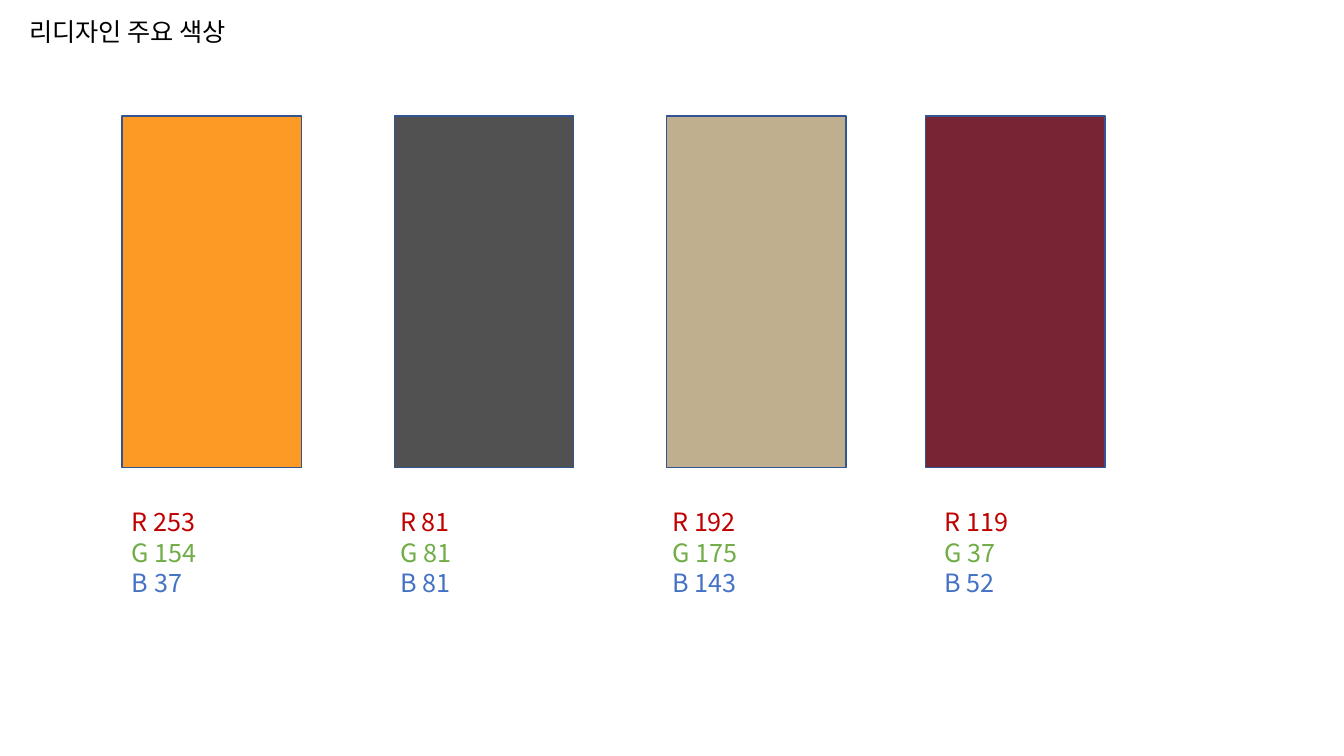
import pptx
import pptx.dml.color
import pptx.enum.shapes
import pptx.enum.text
import pptx.oxml
import pptx.util
from pptx.dml.color import RGBColor
from pptx.util import Inches

FONT = "Noto Sans CJK KR"
BLACK = RGBColor(0x00, 0x00, 0x00)
OUTLINE = RGBColor(0x32, 0x54, 0x91)
CHANNELS = [
    ("R", RGBColor(0xC0, 0x00, 0x00)),
    ("G", RGBColor(0x70, 0xAD, 0x47)),
    ("B", RGBColor(0x44, 0x72, 0xC4)),
]

# Swatch left, label left, swatch colour
PALETTE = [
    (1.21, 1.21, RGBColor(253, 154, 37)),
    (3.91, 3.87, RGBColor(81, 81, 81)),
    (6.61, 6.57, RGBColor(192, 175, 143)),
    (9.18, 9.27, RGBColor(119, 37, 52)),
]

presentation = pptx.Presentation()
presentation.slide_width = Inches(13.33)
presentation.slide_height = Inches(7.5)
slide = presentation.slides.add_slide(presentation.slide_layouts[6])


def add_lines(left, top, width, height, lines):
    """Add a text box with one paragraph for each (text, colour) pair."""
    frame = slide.shapes.add_textbox(
        Inches(left), Inches(top), Inches(width), Inches(height)
    ).text_frame
    frame.word_wrap = True
    frame.auto_size = pptx.enum.text.MSO_AUTO_SIZE.SHAPE_TO_FIT_TEXT
    for index, (text, color) in enumerate(lines):
        paragraph = frame.paragraphs[0] if index == 0 else frame.add_paragraph()
        paragraph.text = text
        paragraph.line_spacing = pptx.util.Pt(21.5)
        paragraph.font.size = pptx.util.Pt(18)
        paragraph.font.name = FONT
        paragraph.font.color.rgb = color
        # Hangul takes its typeface from the East Asian font
        east_asian = pptx.oxml.parse_xml(
            '<a:ea xmlns:a="http://schemas.openxmlformats.org/drawingml/2006/main"'
            f' typeface="{FONT}"/>'
        )
        paragraph.font._element.append(east_asian)


add_lines(0.19, 0.11, 2.8, 0.4, [("리디자인 주요 색상", BLACK)])

for swatch_left, label_left, color in PALETTE:
    swatch = slide.shapes.add_shape(
        pptx.enum.shapes.MSO_SHAPE.RECTANGLE,
        Inches(swatch_left), Inches(1.15), Inches(1.78), Inches(3.49),
    )
    swatch.shadow.inherit = False
    swatch.fill.solid()
    swatch.fill.fore_color.rgb = color
    swatch.line.color.rgb = OUTLINE
    swatch.line.width = pptx.util.Pt(1)

    label = [
        (f"{channel} {value}", channel_color)
        for (channel, channel_color), value in zip(CHANNELS, color)
    ]
    add_lines(label_left, 4.98, 1.85, 1.01, label)

presentation.save("out.pptx")
